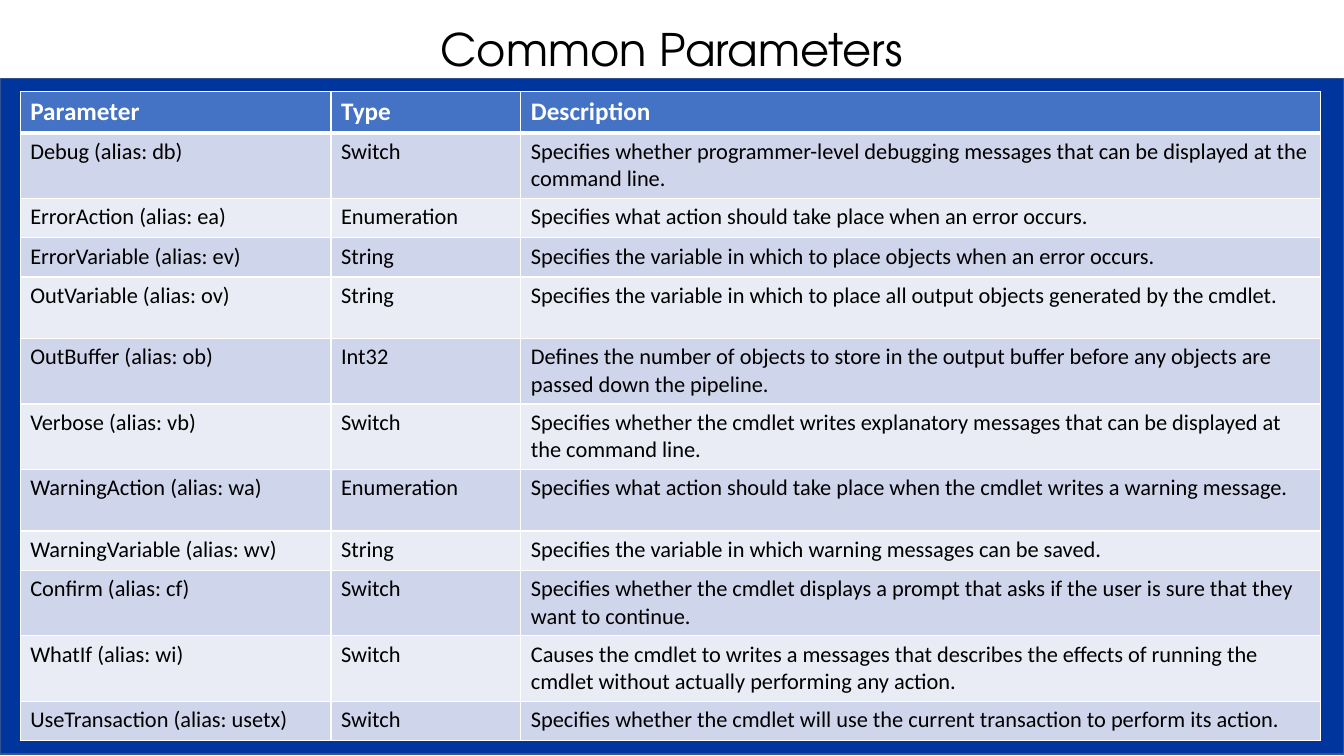
from lxml import etree
from pptx import Presentation, util as u
from pptx.dml.color import RGBColor
from pptx.enum import shapes, text
from pptx.oxml.ns import qn

ROWS = [
    ("Parameter", "Type", "Description", 1.04),
    ("Debug (alias: db)", "Switch", "Specifies whether programmer-level debugging messages that can be displayed at the command line.", 1.65),
    ("ErrorAction (alias: ea)", "Enumeration", "Specifies what action should take place when an error occurs.", 0.99),
    ("ErrorVariable (alias: ev)", "String", "Specifies the variable in which to place objects when an error occurs.", 0.99),
    ("OutVariable (alias: ov)", "String", "Specifies the variable in which to place all output objects generated by the cmdlet.", 1.55),
    ("OutBuffer (alias: ob)", "Int32", "Defines the number of objects to store in the output buffer before any objects are passed down the pipeline.", 1.65),
    ("Verbose (alias: vb)", "Switch", "Specifies whether the cmdlet writes explanatory messages that can be displayed at the command line.", 1.65),
    ("WarningAction (alias: wa)", "Enumeration", "Specifies what action should take place when the cmdlet writes a warning message.", 1.55),
    ("WarningVariable (alias: wv)", "String", "Specifies the variable in which warning messages can be saved.", 0.99),
    ("Confirm (alias: cf)", "Switch", "Specifies whether the cmdlet displays a prompt that asks if the user is sure that they want to continue.", 1.65),
    ("WhatIf (alias: wi)", "Switch", "Causes the cmdlet to writes a messages that describes the effects of running the cmdlet without actually performing any action.", 1.65),
    ("UseTransaction (alias: usetx)", "Switch", "Specifies whether the cmdlet will use the current transaction to perform its action.", 0.99),
]
COLUMN_SHARES = (0.239, 0.146, 0.615)


def rgb(value):
    """Turn a hex string into a colour."""
    return RGBColor.from_string(value)


def write(tf, content, size=16, font="Calibri", color="000000", bold=False, align=None, spacing=None):
    """Put one formatted paragraph into a text frame."""
    tf.word_wrap = True
    p = tf.paragraphs[0]
    p.alignment = align
    p.line_spacing = spacing
    r = p.add_run()
    r.text = content
    r.font.size = u.Pt(size)
    r.font.name = font
    r.font.bold = bold
    r.font.color.rgb = rgb(color)


def border(cell, side, width, color="FFFFFF"):
    """Draw one side of a table cell."""
    ln = etree.SubElement(cell._tc.get_or_add_tcPr(), qn("a:ln" + side), w=str(u.Pt(width)))
    fill = etree.SubElement(ln, qn("a:solidFill"))
    etree.SubElement(fill, qn("a:srgbClr"), val=color)


def add_title(s, x, y, w, h):
    """Place the slide title."""
    tf = s.shapes.add_textbox(u.Cm(x), u.Cm(y), u.Cm(w), u.Cm(h)).text_frame
    tf.vertical_anchor = text.MSO_ANCHOR.BOTTOM
    write(tf, "Common Parameters", size=32, font="TeX Gyre Adventor",
          align=text.PP_ALIGN.CENTER, spacing=0.8)


def add_parameters(s, x, y, w, h):
    """Place the blue panel with the parameter table inside it."""
    sp = s.shapes.add_shape(shapes.MSO_SHAPE.RECTANGLE, u.Cm(x), u.Cm(y), u.Cm(w), u.Cm(h))
    sp.shadow.inherit = False
    sp.fill.solid()
    sp.fill.fore_color.rgb = rgb("00359E")
    sp.line.color.rgb = rgb("325491")
    sp.line.width = u.Pt(1)

    table_w = w - 1.1
    frame = s.shapes.add_table(len(ROWS), len(COLUMN_SHARES), u.Cm(x + 0.51), u.Cm(y + 0.33),
                               u.Cm(table_w), u.Cm(sum(row[-1] for row in ROWS)))
    table = frame.table
    for column, share in zip(table.columns, COLUMN_SHARES):
        column.width = u.Cm(table_w * share)
    for i, (*contents, height) in enumerate(ROWS):
        table.rows[i].height = u.Cm(height)
        header = i == 0
        fill = "4472C4" if header else ("E9EBF5", "CFD5EA")[i % 2]
        style = dict(size=18, color="FFFFFF", bold=True) if header else {}
        for j, content in enumerate(contents):
            cell = table.cell(i, j)
            for side in "LRTB":
                thick = (i, side) in ((0, "B"), (1, "T"))
                border(cell, side, 3 if thick else 1)
            cell.fill.solid()
            cell.fill.fore_color.rgb = rgb(fill)
            write(cell.text_frame, content, **style)


def main():
    """Build and save the slide."""
    prs = Presentation()
    prs.slide_width, prs.slide_height = u.Cm(33.87), u.Cm(19.05)
    s = prs.slides.add_slide(prs.slide_layouts[6])
    add_parameters(s, 0, 1.98, 33.87, 17.02)
    add_title(s, 0, 0.66, 33.87, 1.37)
    prs.save("out.pptx")


if __name__ == "__main__":
    main()
